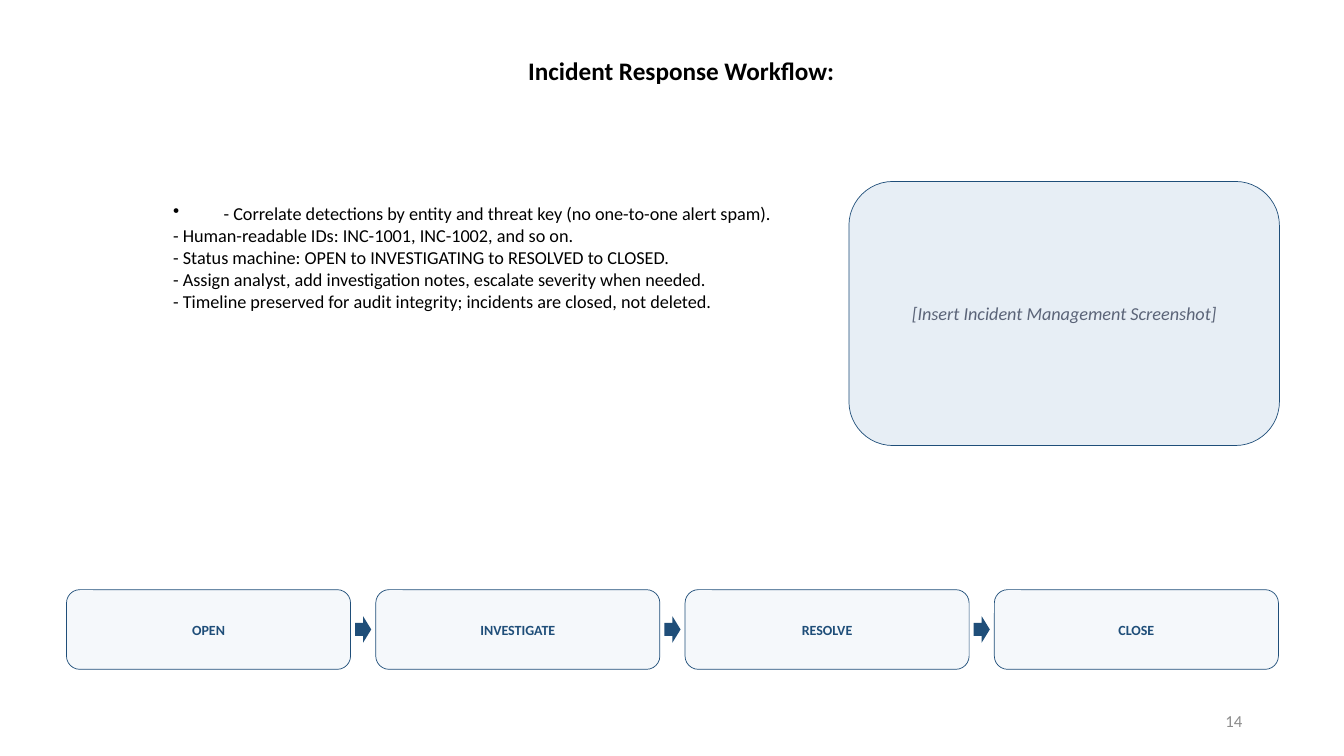
from pptx import Presentation
from pptx.dml.color import RGBColor
from pptx.enum.shapes import MSO_SHAPE as Shape
from pptx.enum.text import MSO_ANCHOR as Anchor, PP_ALIGN as Align
from pptx.oxml.ns import qn
from pptx.util import Inches, Pt
from lxml import etree

NAVY = "1F4E79"
BLACK = "000000"
STAGES = ["OPEN", "INVESTIGATE", "RESOLVE", "CLOSE"]
POINTS = [
    "- Correlate detections by entity and threat key (no one-to-one alert spam).",
    "- Human-readable IDs: INC-1001, INC-1002, and so on.",
    "- Status machine: OPEN to INVESTIGATING to RESOLVED to CLOSED.",
    "- Assign analyst, add investigation notes, escalate severity when needed.",
    "- Timeline preserved for audit integrity; incidents are closed, not deleted.",
]


def color(value):
    return RGBColor.from_string(value)


def add_run(paragraph, text, size, text_color, bold=False, italic=False):
    run = paragraph.add_run()
    run.text = text
    font = run.font
    font.name = "Calibri"
    font.size = Pt(size)
    font.bold = bold
    font.italic = italic
    font.color.rgb = color(text_color)


def add_bullet(paragraph, indent):
    """Give the paragraph a round bullet with a hanging indent."""
    properties = paragraph._p.get_or_add_pPr()
    properties.set("marL", str(Inches(indent)))
    properties.set("indent", str(-Inches(indent)))
    etree.SubElement(properties, qn("a:buChar")).set("char", "•")


def add_text_box(slide, box, anchor=Anchor.TOP):
    frame = slide.shapes.add_textbox(*map(Inches, box)).text_frame
    frame.word_wrap = True
    frame.vertical_anchor = anchor
    return frame


def add_shape(slide, kind, box, fill, line=None):
    shape = slide.shapes.add_shape(kind, *map(Inches, box))
    shape.shadow.inherit = False
    shape.fill.solid()
    shape.fill.fore_color.rgb = color(fill)
    if line:
        shape.line.color.rgb = color(line)
        shape.line.width = Pt(0.5)
    else:
        shape.line.fill.background()
    return shape


def add_panel(slide, box, fill, text, size, text_color, **style):
    """Add a rounded, outlined panel with a centred label."""
    frame = add_shape(slide, Shape.ROUNDED_RECTANGLE, box, fill, NAVY).text_frame
    frame.word_wrap = True
    frame.vertical_anchor = Anchor.MIDDLE
    paragraph = frame.paragraphs[0]
    paragraph.alignment = Align.CENTER
    add_run(paragraph, text, size, text_color, **style)


def add_title(slide, box):
    paragraph = add_text_box(slide, box).paragraphs[0]
    add_run(paragraph, "Incident Response Workflow:", 18, BLACK, bold=True)


def add_page_number(slide, box):
    paragraph = add_text_box(slide, box, Anchor.MIDDLE).paragraphs[0]
    paragraph.alignment = Align.RIGHT
    add_run(paragraph, "14", 12, "8C8C8C")


def add_points(slide, box):
    frame = add_text_box(slide, box)
    for index, point in enumerate(POINTS):
        paragraph = frame.add_paragraph() if index else frame.paragraphs[0]
        if index == 0:
            add_bullet(paragraph, 0.5)
        add_run(paragraph, point, 13, BLACK)


def add_workflow(slide, box):
    """Add equal stages across the box, with an arrow centred in each gap."""
    left, top, width, height = box
    gap, arrow_width, arrow_height = 0.25, 0.16, 0.26
    stage_width = (width - gap * (len(STAGES) - 1)) / len(STAGES)
    for index, stage in enumerate(STAGES):
        x = left + index * (stage_width + gap)
        if index:
            arrow = (x - (gap + arrow_width) / 2, top + (height - arrow_height) / 2,
                     arrow_width, arrow_height)
            add_shape(slide, Shape.RIGHT_ARROW, arrow, NAVY)
        add_panel(slide, (x, top, stage_width, height), "F5F8FB",
                  stage, 10, NAVY, bold=True)


def main():
    presentation = Presentation()
    presentation.slide_width = Inches(13.33)
    presentation.slide_height = Inches(7.5)
    slide = presentation.slides.add_slide(presentation.slide_layouts[6])
    add_title(slide, (5.14, 0.5, 3.59, 0.77))
    add_page_number(slide, (9.42, 6.95, 3, 0.4))
    add_points(slide, (1.62, 1.96, 10.63, 5.54))
    add_workflow(slide, (0.66, 5.85, 12.02, 0.79))
    add_panel(slide, (8.42, 1.8, 4.27, 2.62), "E7EEF5",
              "[Insert Incident Management Screenshot]", 13, "5B6478", italic=True)
    presentation.save("out.pptx")


if __name__ == "__main__":
    main()
